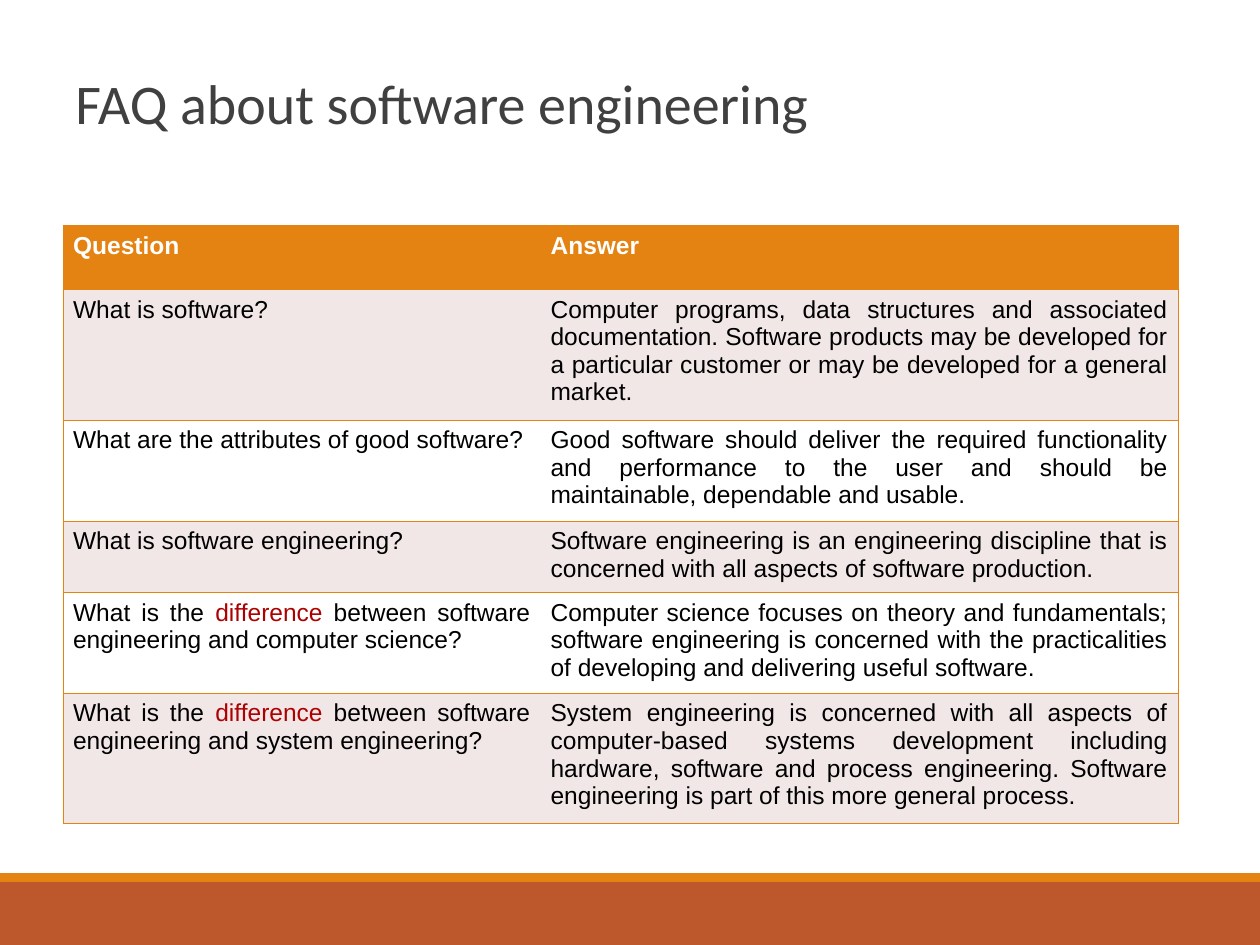
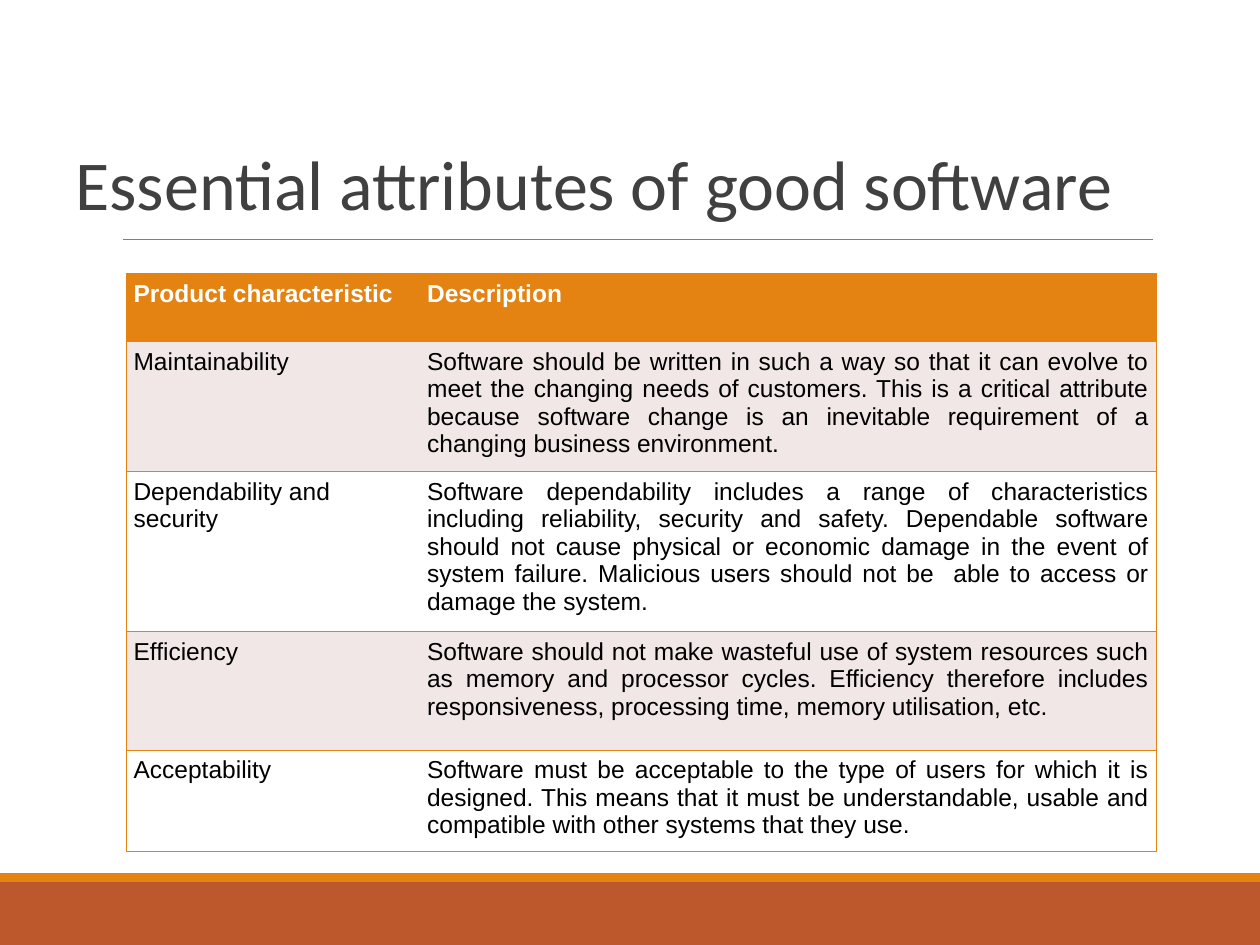
from lxml import etree
from pptx import Presentation
from pptx.dml.color import RGBColor
from pptx.enum.shapes import MSO_CONNECTOR, MSO_SHAPE
from pptx.enum.text import MSO_ANCHOR, PP_ALIGN
from pptx.oxml.ns import qn
from pptx.util import Inches, Pt

# Content
FAQ_ROWS = [
    ("Question", "Answer"),
    ("What is software?",
     "Computer programs, data structures and associated documentation. Software products "
     "may be developed for a particular customer or may be developed for a general market."),
    ("What are the attributes of good software?",
     "Good software should deliver the required functionality and performance to the user "
     "and should be maintainable, dependable and usable."),
    ("What is software engineering?",
     "Software engineering is an engineering discipline that is concerned with all aspects "
     "of software production."),
    ("What is the difference between software engineering and computer science?",
     "Computer science focuses on theory and fundamentals; software engineering is concerned "
     "with the practicalities of developing and delivering useful software."),
    ("What is the difference between software engineering and system engineering?",
     "System engineering is concerned with all aspects of computer-based systems development "
     "including hardware, software and process engineering. Software engineering is part of "
     "this more general process."),
]
ATTRIBUTE_ROWS = [
    ("Product characteristic", "Description"),
    ("Maintainability",
     "Software should be written in such a way so that it can evolve to meet the changing "
     "needs of customers. This is a critical attribute because software change is an "
     "inevitable requirement of a changing business environment."),
    ("Dependability and security",
     "Software dependability includes a range of characteristics including reliability, "
     "security and safety. Dependable software should not cause physical or economic damage "
     "in the event of system failure. Malicious users should not be  able to access or "
     "damage the system."),
    ("Efficiency",
     "Software should not make wasteful use of system resources such as memory and processor "
     "cycles. Efficiency therefore includes responsiveness, processing time, memory "
     "utilisation, etc."),
    ("Acceptability",
     "Software must be acceptable to the type of users for which it is designed. This means "
     "that it must be understandable, usable and compatible with other systems that they use."),
]
HIGHLIGHTED_WORD = "difference"

# Shared style
ORANGE = RGBColor(0xE4, 0x83, 0x12)
RUST = RGBColor(0xBD, 0x58, 0x2C)
GREY = RGBColor(0x7F, 0x7F, 0x7F)
CHARCOAL = RGBColor(0x40, 0x40, 0x40)
DARK_RED = RGBColor(0xAD, 0x01, 0x01)
PALE_ROSE = RGBColor(0xF1, 0xE7, 0xE7)
WHITE = RGBColor(0xFF, 0xFF, 0xFF)
BLACK = RGBColor(0x00, 0x00, 0x00)
TITLE_FONT, TABLE_FONT = "Calibri", "Arial"
LEFT, JUSTIFY = PP_ALIGN.LEFT, PP_ALIGN.JUSTIFY
RECTANGLE, STRAIGHT = MSO_SHAPE.RECTANGLE, MSO_CONNECTOR.STRAIGHT
BOTTOM = MSO_ANCHOR.BOTTOM

SLIDE_WIDTH, SLIDE_HEIGHT = 10, 7.5
FOOTER_HEIGHT, STRIPE_HEIGHT = 0.5, 0.07
RULE_LEFT, RULE_RIGHT, RULE_TOP = 0.98, 9.15, 1.9
BORDER_WIDTH = Pt(0.45)
BLANK_LAYOUT = 6

# Slides: boxes are left, top, width, height; row heights run from the header down
SLIDES = [
    dict(title="FAQ about software engineering", title_size=32,
         title_box=(0.5, 0.5, 9.08, 1.09), title_bottom_inset=0.51, rule=False,
         rows=FAQ_ROWS, table_at=(0.5, 1.79), columns=(3.79, 5.06),
         heights=(0.51, 1.01, 0.78, 0.54, 0.78, 1.01),
         inset=0.08, first_column_align=JUSTIFY),
    dict(title="Essential attributes of good software", title_size=40,
         title_box=(0.5, 0.58, 8.75, 1.25), title_bottom_inset=0.05, rule=True,
         rows=ATTRIBUTE_ROWS, table_at=(1, 2.17), columns=(2.33, 5.85),
         heights=(0.54, 1.03, 1.27, 0.94, 0.8),
         inset=0.06, first_column_align=LEFT),
]


def write_text(frame, text, font, size, color, bold=False, align=LEFT, spacing=None):
    """Fill the first paragraph, colouring the highlighted word."""
    frame.word_wrap = True
    paragraph = frame.paragraphs[0]
    paragraph.alignment = align
    if spacing:
        paragraph.line_spacing = spacing
    for part in filter(None, text.partition(HIGHLIGHTED_WORD)):
        run = paragraph.add_run()
        run.text = part
        run.font.name, run.font.size, run.font.bold = font, Pt(size), bold
        run.font.color.rgb = DARK_RED if part == HIGHLIGHTED_WORD else color


def add_band(slide, top, height, color):
    band = slide.shapes.add_shape(RECTANGLE, 0, Inches(top),
                                  Inches(SLIDE_WIDTH), Inches(height))
    band.shadow.inherit = False
    band.fill.solid()
    band.fill.fore_color.rgb = color
    band.line.fill.background()


def add_rule(slide):
    rule = slide.shapes.add_connector(STRAIGHT, Inches(RULE_LEFT), Inches(RULE_TOP),
                                      Inches(RULE_RIGHT), Inches(RULE_TOP))
    rule.line.color.rgb = GREY
    rule.line.width = Pt(0.5)
    etree.SubElement(rule._element.spPr, qn("a:effectLst"))


def add_title(slide, text, size, box, bottom_inset):
    frame = slide.shapes.add_textbox(*map(Inches, box)).text_frame
    frame.vertical_anchor = BOTTOM
    frame.margin_bottom = Inches(bottom_inset)
    write_text(frame, text, TITLE_FONT, size, CHARCOAL, spacing=0.85)


def set_borders(cell, drawn_sides):
    """Draw the named sides and clear the others; lines come before the fill."""
    properties = cell._tc.get_or_add_tcPr()
    for position, side in enumerate("LRTB"):
        line = etree.Element(qn("a:ln" + side), w=str(BORDER_WIDTH))
        if side in drawn_sides:
            fill = etree.SubElement(line, qn("a:solidFill"))
            etree.SubElement(fill, qn("a:srgbClr"), val=str(ORANGE))
        else:
            etree.SubElement(line, qn("a:noFill"))
        properties.insert(position, line)


def add_table(slide, rows, position, columns, heights, inset, first_column_align):
    left, top = position
    table = slide.shapes.add_table(
        len(rows), len(columns), Inches(left), Inches(top),
        Inches(sum(columns)), Inches(sum(heights))).table
    table.first_row = table.horz_banding = False
    for column, width in zip(table.columns, columns):
        column.width = Inches(width)
    for row_index, (texts, height) in enumerate(zip(rows, heights)):
        table.rows[row_index].height = Inches(height)
        header = row_index == 0
        row_fill = ORANGE if header else (WHITE, PALE_ROSE)[row_index % 2]
        for column_index, text in enumerate(texts):
            cell = table.cell(row_index, column_index)
            first = column_index == 0
            cell.margin_left = cell.margin_right = Inches(inset)
            cell.margin_top = cell.margin_bottom = Inches(0.05)
            cell.fill.solid()
            cell.fill.fore_color.rgb = row_fill
            set_borders(cell, "LTB" if first else "RTB")
            write_text(cell.text_frame, text, TABLE_FONT, 14,
                       WHITE if header else BLACK, bold=header,
                       align=first_column_align if first else JUSTIFY)


def main():
    presentation = Presentation()
    presentation.slide_width = Inches(SLIDE_WIDTH)
    presentation.slide_height = Inches(SLIDE_HEIGHT)
    footer_top = SLIDE_HEIGHT - FOOTER_HEIGHT
    for page in SLIDES:
        slide = presentation.slides.add_slide(presentation.slide_layouts[BLANK_LAYOUT])
        add_band(slide, footer_top, FOOTER_HEIGHT, RUST)
        add_band(slide, footer_top - STRIPE_HEIGHT, STRIPE_HEIGHT, ORANGE)
        if page["rule"]:
            add_rule(slide)
        add_title(slide, page["title"], page["title_size"], page["title_box"],
                  page["title_bottom_inset"])
        add_table(slide, page["rows"], page["table_at"], page["columns"],
                  page["heights"], page["inset"], page["first_column_align"])
    presentation.save("out.pptx")


if __name__ == "__main__":
    main()
